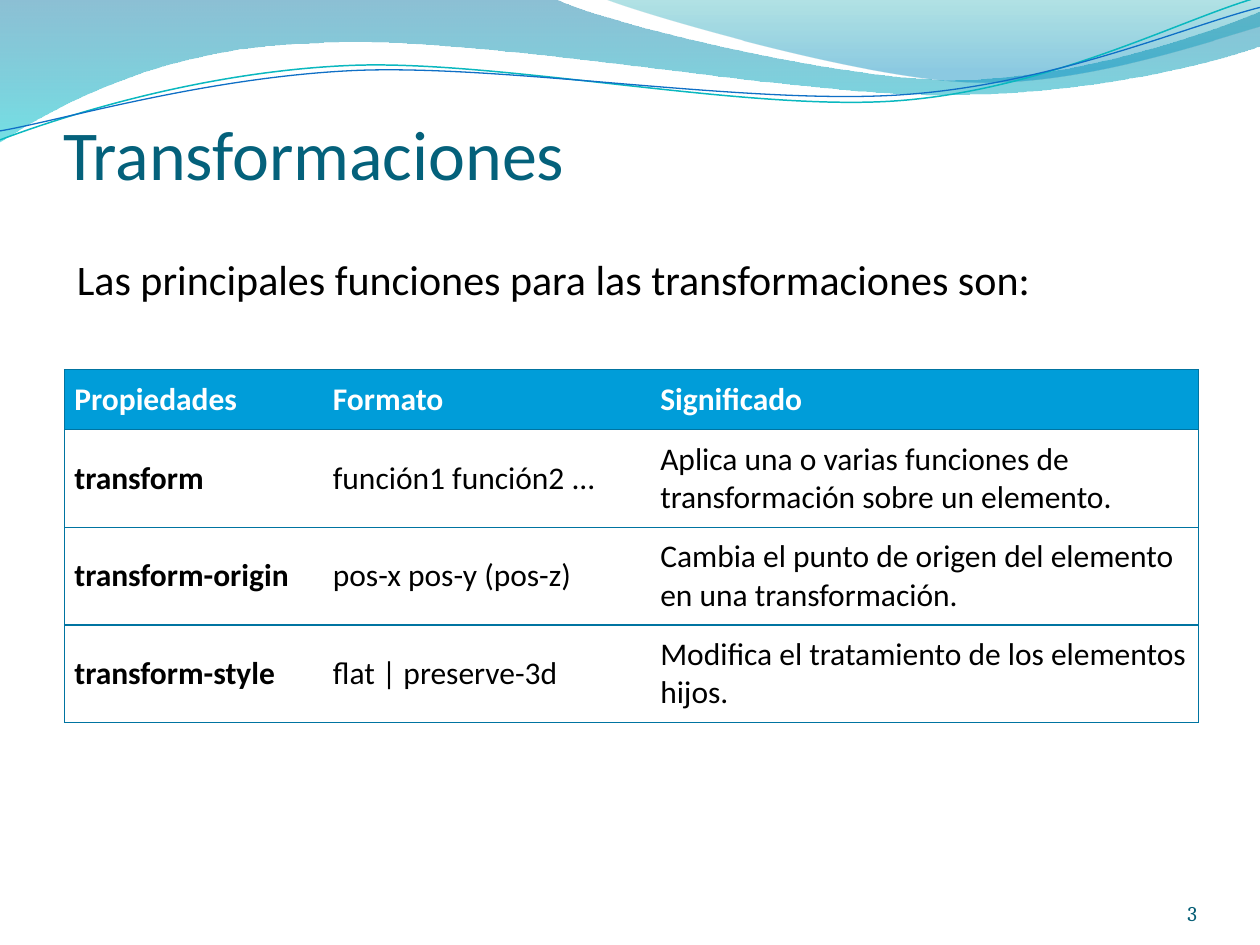
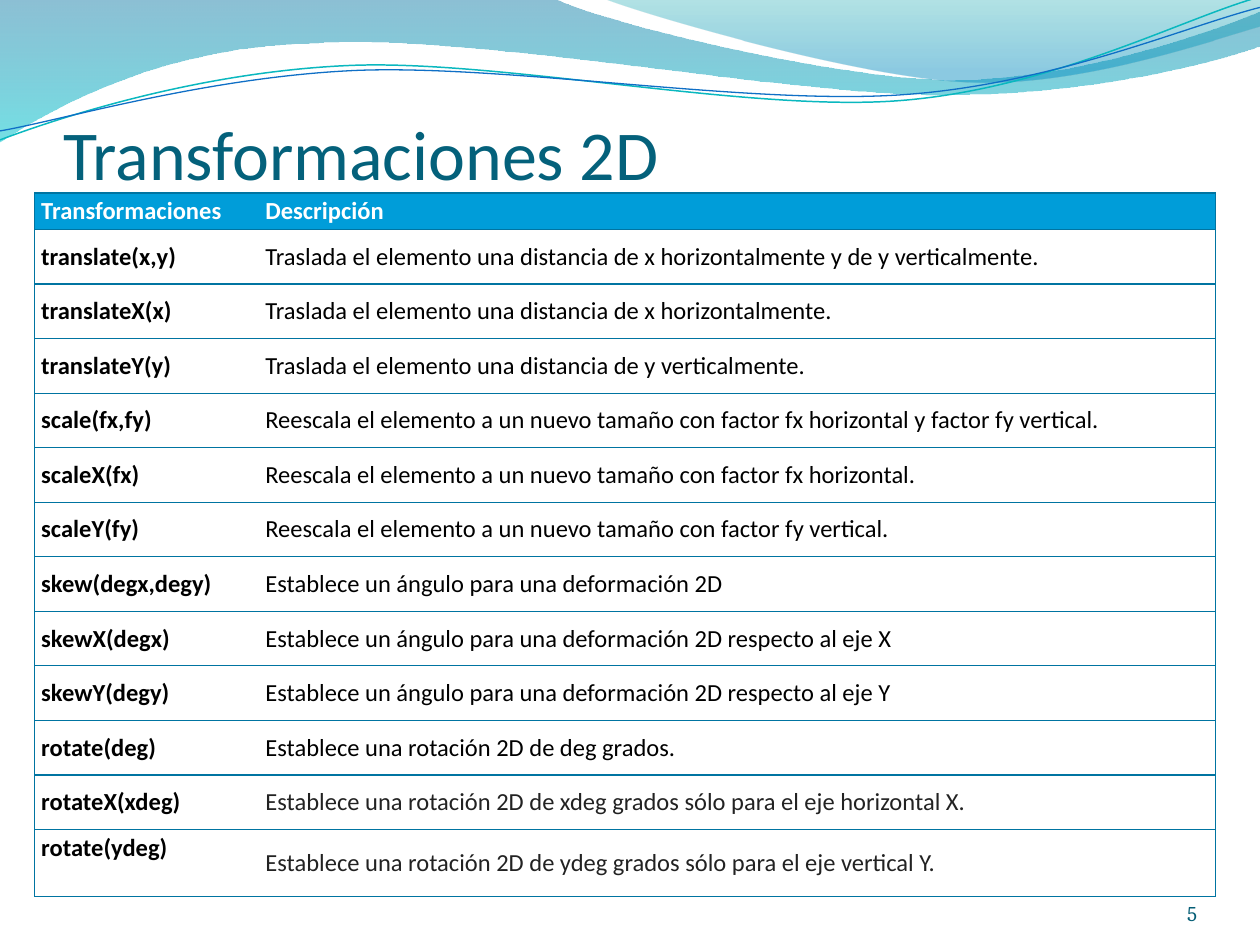
"""Build two slides about CSS transformations under a shared wave header."""
from dataclasses import dataclass
from itertools import islice
from math import cos, radians, sin
from typing import Optional

from lxml.etree import SubElement
from pptx import Presentation
from pptx.dml.color import RGBColor
from pptx.enum.text import MSO_ANCHOR, MSO_AUTO_SIZE, PP_ALIGN
from pptx.oxml.ns import qn
from pptx.shapes.autoshape import Shape
from pptx.slide import Slide
from pptx.table import _Cell
from pptx.text.text import TextFrame
from pptx.util import Cm, Pt

COLOURS = {
    "title": "04617B", "number": "045D75", "text": "000000", "soft": "222222",
    "white": "FFFFFF", "header": "009DD9", "border": "0074A1",
    "deep": "0074A1", "aqua": "00C6CF", "teal": "00A1A9", "sky": "008BBF",
    "thread": "0AB8BF", "blue": "0F6FC6",
}
BORDER_WIDTH = Pt(0.75)
THREAD_TILT = 357.3

Point = tuple[float, float]


@dataclass(frozen=True)
class Stop:
    position: float
    colour: str
    opacity: int


@dataclass(frozen=True)
class Wave:
    """An outline in centimetres: pairs are corners, triples of pairs are curves."""
    start: Point
    steps: tuple
    stops: tuple[Stop, ...] = ()
    line: str = ""
    width: float = 0
    centre: Optional[Point] = None


@dataclass(frozen=True)
class Frame:
    left: float
    top: float
    width: float
    height: float

    def lengths(self) -> tuple[Cm, Cm, Cm, Cm]:
        return Cm(self.left), Cm(self.top), Cm(self.width), Cm(self.height)


@dataclass(frozen=True)
class Style:
    size: float
    colour: str
    font: str = "Calibri"
    bold: bool = False
    align: PP_ALIGN = PP_ALIGN.LEFT


@dataclass(frozen=True)
class Grid:
    left: float
    top: float
    columns: tuple[float, ...]
    heights: tuple[float, ...]
    margins: tuple[float, float]
    size: float
    rows: tuple[tuple[str, ...], ...]
    soft_rows: tuple[int, ...] = ()
    top_cell: Optional[tuple[int, int]] = None


@dataclass(frozen=True)
class Topic:
    title: str
    number: str
    grid: Grid
    intro: str = ""


WAVES = (
    Wave((0, 0), (
        (11.18, -0.03),
        ((12.09, 0.43), (16.87, 1.6), (19.25, 1.6)),
        ((21.67, 1.6), (24.33, 0.66), (25.4, 0.23)),
        (25.43, 0.91),
        ((24.97, 1.12), (22.1, 1.93), (18.95, 1.91)),
        ((15.8, 1.91), (9.7, 0.71), (6.53, 0.86)),
        ((3.28, 0.91), (1.17, 2.11), (-0.03, 2.87)),
        (0, 0),
    ), stops=(Stop(0, "deep", 45), Stop(1, "aqua", 55))),
    Wave((12.17, -0.03), (
        ((12.93, 0.28), (17.32, 1.57), (19.53, 1.65)),
        ((21.74, 1.75), (24.41, 0.81), (25.4, 0.53)),
        (25.4, 0),
        (12.17, -0.03),
    ), stops=(Stop(0, "teal", 30), Stop(0.8, "sky", 45))),
    Wave((0, 2.82), (
        ((1.22, 2.36), (4.01, 1.45), (7.04, 1.32)),
        ((10.03, 1.19), (15.06, 2.26), (18.11, 2.03)),
        ((21.16, 1.8), (23.83, 0.38), (25.35, -0.05)),
    ), line="thread", width=0.85, centre=(12.67, 1.46)),
    Wave((0, 2.64), (
        ((1.19, 2.44), (4.17, 1.55), (7.19, 1.42)),
        ((10.24, 1.3), (15.16, 2.13), (18.21, 1.91)),
        ((21.23, 1.7), (23.9, 0.53), (25.4, 0.15)),
    ), line="blue", width=0.75, centre=(12.69, 1.5)),
)

TITLE_FRAME = Frame(1.27, 0.74, 23.62, 3.18)
INTRO_FRAME = Frame(1.3, 3.94, 22.81, 13.79)
NUMBER_FRAME = Frame(22.02, 17.65, 2.11, 1.02)
TITLE_STYLE = Style(40, "title")
INTRO_STYLE = Style(24, "text", align=PP_ALIGN.JUSTIFY)
NUMBER_STYLE = Style(12, "number", "Cambria", align=PP_ALIGN.RIGHT)

TOPICS = (
    Topic("Transformaciones", "3", Grid(
        1.3, 7.45, (5.21, 6.6, 11.05), (1.21,) + (1.97,) * 3, (0.2, 0.2), 18, (
            ("Propiedades", "Formato", "Significado"),
            ("transform", "función1 función2 ...",
             "Aplica una o varias funciones de transformación sobre un elemento."),
            ("transform-origin", "pos-x pos-y (pos-z)",
             "Cambia el punto de origen del elemento en una transformación."),
            ("transform-style", "flat | preserve-3d",
             "Modifica el tratamiento de los elementos hijos."),
        )), "Las principales funciones para las transformaciones son:"),
    Topic("Transformaciones 2D", "5", Grid(
        0.7, 3.89, (4.52, 19.28), (0.73,) + (1.1,) * 11 + (1.35,), (0.13, 0.07), 14, (
            ("Transformaciones", "Descripción"),
            ("translate(x,y)",
             "Traslada el elemento una distancia de x horizontalmente y de y verticalmente."),
            ("translateX(x)", "Traslada el elemento una distancia de x horizontalmente."),
            ("translateY(y)", "Traslada el elemento una distancia de y verticalmente."),
            ("scale(fx,fy)", "Reescala el elemento a un nuevo tamaño con factor fx "
             "horizontal y factor fy vertical."),
            ("scaleX(fx)", "Reescala el elemento a un nuevo tamaño con factor fx horizontal."),
            ("scaleY(fy)", "Reescala el elemento a un nuevo tamaño con factor fy vertical."),
            ("skew(degx,degy)", "Establece un ángulo para una deformación 2D"),
            ("skewX(degx)", "Establece un ángulo para una deformación 2D respecto al eje X"),
            ("skewY(degy)", "Establece un ángulo para una deformación 2D respecto al eje Y"),
            ("rotate(deg)", "Establece una rotación 2D de deg grados."),
            ("rotateX(xdeg)",
             "Establece una rotación 2D de xdeg grados sólo para el eje horizontal X."),
            ("rotate(ydeg)",
             "Establece una rotación 2D de ydeg grados sólo para el eje vertical Y."),
        ), soft_rows=(11, 12), top_cell=(12, 0))),
)


def rgb(name: str) -> RGBColor:
    return RGBColor.from_string(COLOURS[name])


def level(point: Point, centre: Point) -> Point:
    angle = radians(-THREAD_TILT)
    x, y = point[0] - centre[0], point[1] - centre[1]
    return (centre[0] + x * cos(angle) - y * sin(angle),
            centre[1] + x * sin(angle) + y * cos(angle))


def bend(shape: Shape, steps: tuple) -> None:
    segments = iter(list(shape.element.iter(qn("a:lnTo"))))
    for step in steps:
        first, *others = islice(segments, 3 if isinstance(step[0], tuple) else 1)
        if others:
            curve = first.makeelement(qn("a:cubicBezTo"))
            first.addprevious(curve)
            for segment in (first, *others):
                curve.append(segment[0])
                segment.getparent().remove(segment)


def draw_wave(page: Slide, wave: Wave) -> Shape:
    points = [wave.start]
    for step in wave.steps:
        points += step if isinstance(step[0], tuple) else [step]
    if wave.centre:
        points = [level(point, wave.centre) for point in points]
    lengths = [(Cm(x), Cm(y)) for x, y in points]
    builder = page.shapes.build_freeform(*lengths[0])
    builder.add_line_segments(lengths[1:], close=bool(wave.stops))
    shape = builder.convert_to_shape()
    bend(shape, wave.steps)
    shape.shadow.inherit = False
    if wave.centre:
        shape.rotation = THREAD_TILT
        shape.fill.background()
        shape.line.color.rgb = rgb(wave.line)
        shape.line.width = Pt(wave.width)
        return shape
    shape.line.fill.background()
    shape.fill.gradient()
    shape.fill.gradient_angle = 270
    for target, stop in zip(shape.fill.gradient_stops, wave.stops):
        target.position = stop.position
        target.color.rgb = rgb(stop.colour)
    for colour, stop in zip(shape.element.iter(qn("a:srgbClr")), wave.stops):
        SubElement(colour, qn("a:alpha"), val=str(stop.opacity * 1000))
    return shape


def move_to_layout(page: Slide, shapes: list[Shape]) -> None:
    tree = page.slide_layout.shapes.element
    for index, shape in enumerate(shapes):
        shape.element.nvSpPr.cNvPr.set("id", str(100 + index))
        tree.insert(2 + index, shape.element)


def write(frame: TextFrame, text: str, style: Style) -> None:
    frame.text = text
    for para in frame.paragraphs:
        para.alignment = style.align
        for span in para.runs:
            span.font.name = style.font
            span.font.size = Pt(style.size)
            span.font.bold = style.bold
            span.font.color.rgb = rgb(style.colour)


def set_margins(frame: TextFrame, side: float, top: float) -> None:
    frame.margin_left = frame.margin_right = Cm(side)
    frame.margin_top, frame.margin_bottom = Cm(top), Cm(0)


def draw_title(page: Slide, text: str) -> None:
    title = page.shapes.title
    title.left, title.top, title.width, title.height = TITLE_FRAME.lengths()
    frame = title.text_frame
    frame.auto_size = MSO_AUTO_SIZE.NONE
    frame.vertical_anchor = MSO_ANCHOR.BOTTOM
    set_margins(frame, 0, 0.13)
    write(frame, text, TITLE_STYLE)


def draw_text(page: Slide, place: Frame, text: str, style: Style,
              anchor: MSO_ANCHOR, side: float = 0, top: float = 0) -> None:
    frame = page.shapes.add_textbox(*place.lengths()).text_frame
    frame.word_wrap = True
    frame.vertical_anchor = anchor
    set_margins(frame, side, top)
    write(frame, text, style)


def set_borders(cell: _Cell, visible: dict[str, bool]) -> None:
    properties = cell._tc.get_or_add_tcPr()
    for index, (side, shown) in enumerate(visible.items()):
        line = SubElement(properties, qn(f"a:ln{side}"), w=str(BORDER_WIDTH))
        if shown:
            fill = SubElement(line, qn("a:solidFill"))
            SubElement(fill, qn("a:srgbClr"), val=COLOURS["border"])
        else:
            SubElement(line, qn("a:noFill"))
        properties.insert(index, line)


def draw_grid(page: Slide, grid: Grid) -> None:
    place = Frame(grid.left, grid.top, sum(grid.columns), sum(grid.heights))
    table = page.shapes.add_table(len(grid.rows), len(grid.columns), *place.lengths()).table
    table.horz_banding = False
    for column, width in zip(table.columns, grid.columns):
        column.width = Cm(width)
    for row, height in zip(table.rows, grid.heights):
        row.height = Cm(height)
    side, end = grid.margins
    last = len(grid.columns) - 1
    for i, texts in enumerate(grid.rows):
        for j, text in enumerate(texts):
            cell = table.cell(i, j)
            colour = "white" if i == 0 else "soft" if j and i in grid.soft_rows else "text"
            write(cell.text_frame, text, Style(grid.size, colour, bold=i == 0 or j == 0))
            cell.margin_left = cell.margin_right = Cm(side)
            cell.margin_top = cell.margin_bottom = Cm(end)
            at_top = (i, j) == grid.top_cell
            cell.vertical_anchor = MSO_ANCHOR.TOP if at_top else MSO_ANCHOR.MIDDLE
            cell.fill.solid()
            cell.fill.fore_color.rgb = rgb("white" if i else "header")
            set_borders(cell, {"L": j == 0, "R": j == last, "T": True, "B": True})


def main() -> None:
    deck = Presentation()
    deck.slide_width, deck.slide_height = Cm(25.4), Cm(19.05)
    pages = [deck.slides.add_slide(deck.slide_layouts[5]) for _ in TOPICS]
    move_to_layout(pages[0], [draw_wave(pages[0], wave) for wave in WAVES])
    for page, topic in zip(pages, TOPICS):
        draw_title(page, topic.title)
        if topic.intro:
            draw_text(page, INTRO_FRAME, topic.intro, INTRO_STYLE, MSO_ANCHOR.TOP, 0.25, 1.32)
        draw_text(page, NUMBER_FRAME, topic.number, NUMBER_STYLE, MSO_ANCHOR.BOTTOM)
        draw_grid(page, topic.grid)
    deck.save("out.pptx")


if __name__ == "__main__":
    main()
